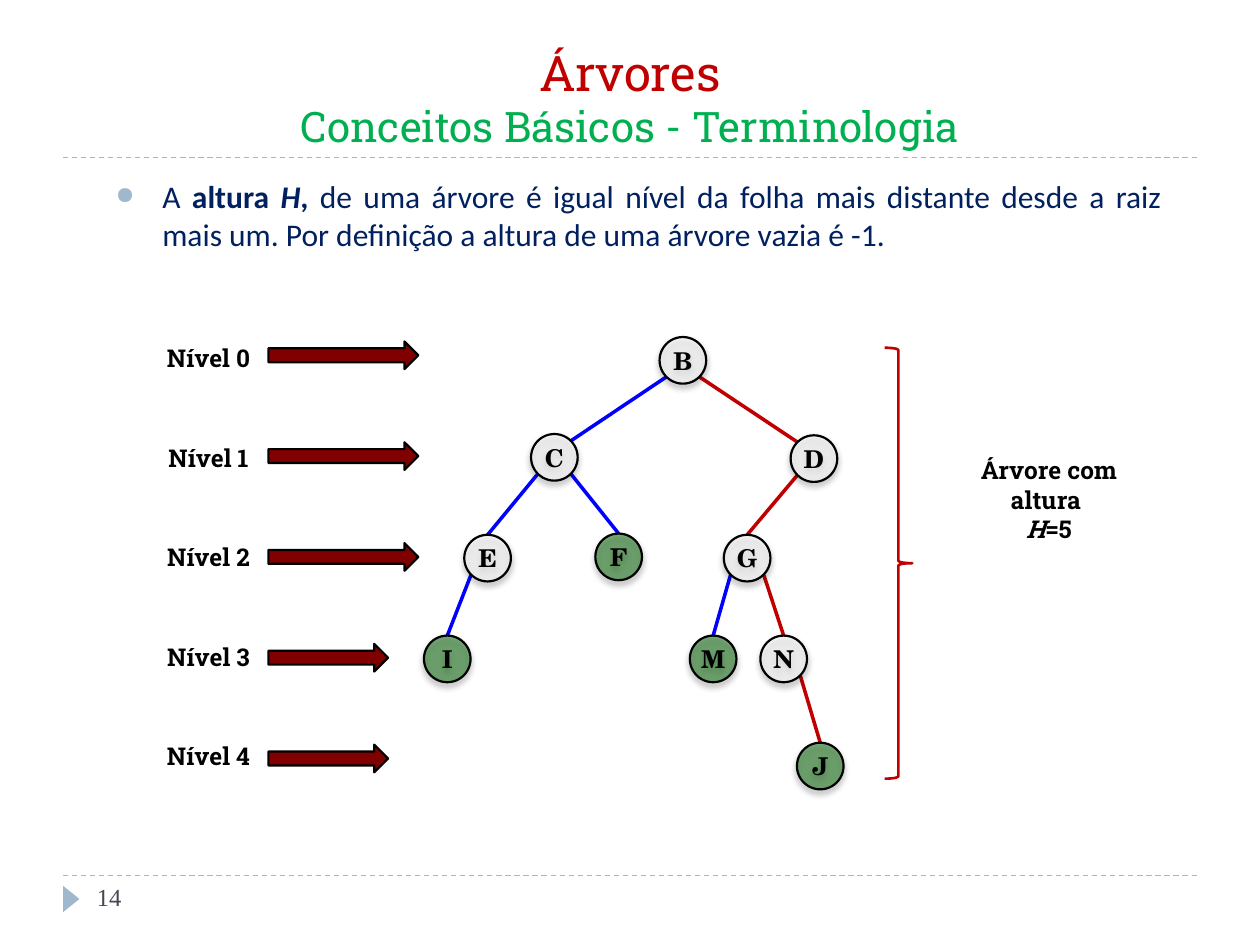
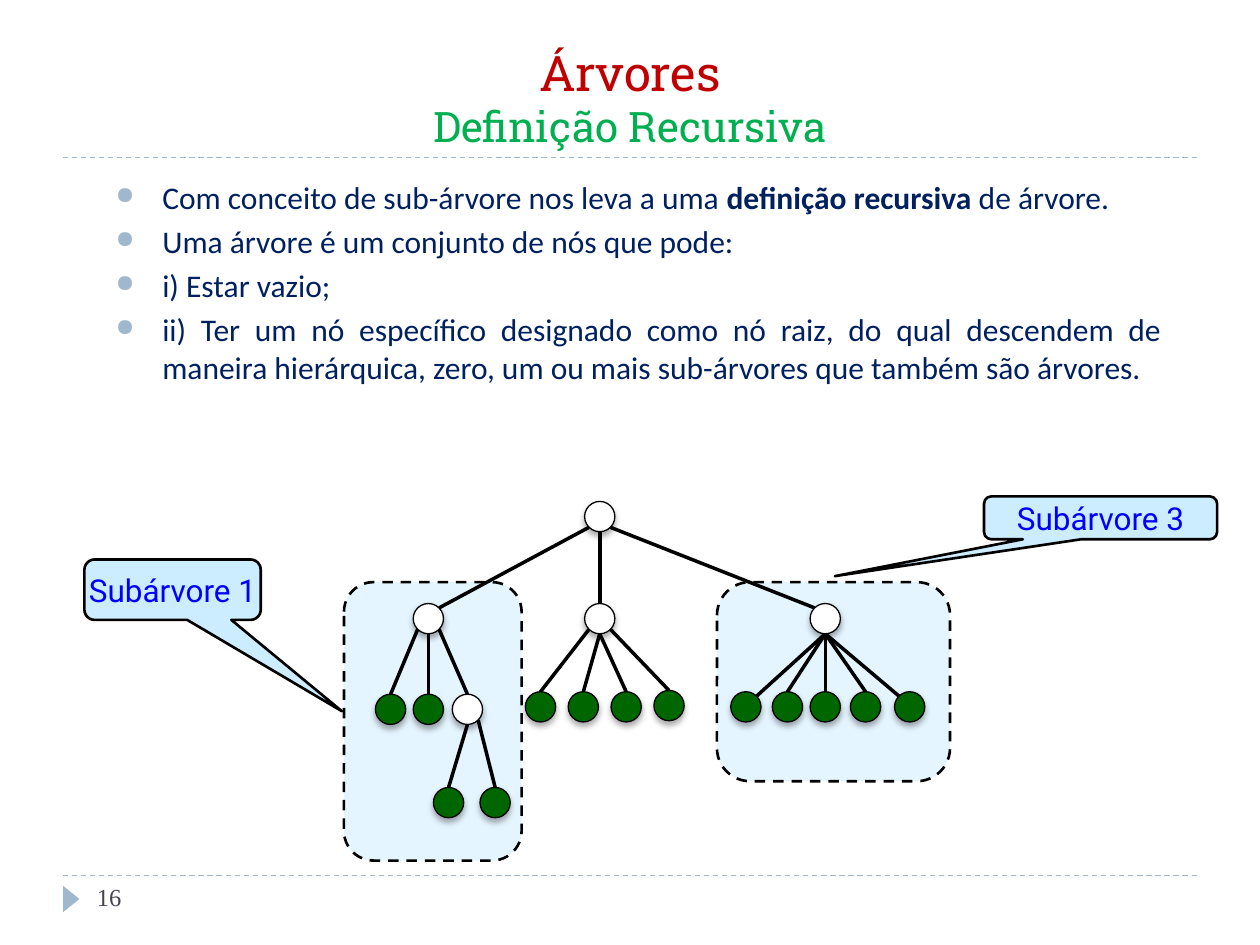
"""Builds two slides on trees: height and recursive definition."""
from dataclasses import dataclass
from typing import NamedTuple, Optional

from pptx import Presentation
from pptx.dml.color import RGBColor
from pptx.enum import dml, shapes, text
from pptx.oxml.xmlchemy import OxmlElement
from pptx.util import Inches, Pt

KIND = shapes.MSO_SHAPE
ALIGN = text.PP_ALIGN
ANCHOR = text.MSO_ANCHOR


@dataclass(frozen=True)
class Theme:
    red: str = "C00000"
    green: str = "00B050"
    navy: str = "002060"
    steel: str = "9FB8CD"
    slate: str = "464653"
    leaf: str = "006600"
    maroon: str = "800000"
    blue: str = "0000FF"
    sky: str = "CCECFF"
    black: str = "000000"
    white: str = "FFFFFF"
    slab: str = "Roboto Slab"
    body: str = "Calibri"
    serif: str = "TeX Gyre Schola"
    page: str = "Times New Roman"
    sans: str = "Roboto"
    large: int = 28
    medium: int = 24
    normal: int = 18
    small: int = 14


T = Theme()


class Run(NamedTuple):
    text: str
    bold: Optional[bool] = None
    italic: Optional[bool] = None
    size: Optional[int] = None
    color: Optional[str] = None


class Box(NamedTuple):
    left: float
    top: float
    width: float
    height: float

    def emu(self) -> list:
        return [Inches(side) for side in self]


class Node(NamedTuple):
    key: str
    x: float
    y: float
    up: str = ""
    out: str = "b"
    into: str = "t"
    color: str = T.black


class Style(NamedTuple):
    radius: float
    line: float
    alpha: int
    named: bool


class Call(NamedTuple):
    text: str
    box: Box
    tip: tuple


SITES = {"t": (0, -1), "b": (0, 1), "tl": (-.71, -.71), "tr": (.71, -.71),
         "bl": (-.71, .71), "br": (.71, .71)}


def add_xml(parent, tag: str, **attrs):
    child = OxmlElement(tag)
    for name, value in attrs.items():
        child.set(name, str(value))
    parent.append(child)
    return child


def write(frame, lines: list, *, font: str, size: int, color: str, bold: bool = False,
          align=ALIGN.LEFT, anchor=ANCHOR.TOP, inset: tuple = (.1, .05),
          before: float = 0, bullet: bool = False) -> None:
    frame.word_wrap = True
    frame.vertical_anchor = anchor
    frame.margin_left = frame.margin_right = Inches(inset[0])
    frame.margin_top = frame.margin_bottom = Inches(inset[1])
    for row, line in enumerate(lines):
        para = frame.add_paragraph() if row else frame.paragraphs[0]
        para.alignment = align
        para.space_before = Pt(before if row else 0)
        if bullet:
            props = para._p.get_or_add_pPr()
            props.set("marL", str(Inches(.37)))
            props.set("indent", str(-Inches(.37)))
            add_xml(add_xml(props, "a:buClr"), "a:srgbClr", val=T.steel)
            add_xml(props, "a:buSzPct", val=76000)
            add_xml(props, "a:buChar", char="●")
        for part in [Run(line)] if isinstance(line, str) else line:
            run = para.add_run()
            run.text = part.text
            run.font.name = font
            run.font.size = Pt(part.size or size)
            run.font.bold = bold if part.bold is None else part.bold
            run.font.italic = part.italic
            run.font.color.rgb = RGBColor.from_string(part.color or color)


def add_text(slide, box: Box, lines: list, **style) -> None:
    write(slide.shapes.add_textbox(*box.emu()).text_frame, lines, **style)


def add_form(slide, kind, box: Box, fill: Optional[str], line: Optional[str] = None,
             width: float = 1.25, *, alpha: int = 100, dash: bool = False,
             shade: bool = False, adjust: tuple = ()):
    form = slide.shapes.add_shape(kind, *box.emu())
    for index, value in enumerate(adjust):
        form.adjustments[index] = value
    if fill:
        form.fill.solid()
        form.fill.fore_color.rgb = RGBColor.from_string(fill)
        if alpha < 100:
            tint = form._element.spPr.find(".//{*}srgbClr")
            add_xml(tint, "a:alpha", val=alpha * 1000)
    else:
        form.fill.background()
    if line:
        form.line.color.rgb = RGBColor.from_string(line)
        form.line.width = Pt(width)
        if dash:
            form.line.dash_style = dml.MSO_LINE.DASH
    else:
        form.line.fill.background()
    form.shadow.inherit = False
    if shade:
        glow = add_xml(form._element.spPr.find("{*}effectLst"), "a:outerShdw",
                       blurRad=Pt(3.5), dist=Pt(2.2), dir=5400000, rotWithShape=0)
        add_xml(add_xml(glow, "a:srgbClr", val=T.black), "a:alpha", val=32000)
    return form


def add_line(slide, start: tuple, end: tuple, color: str, width: float,
             dash: bool = False) -> None:
    ends = [Inches(side) for side in (*start, *end)]
    link = slide.shapes.add_connector(shapes.MSO_CONNECTOR.STRAIGHT, *ends)
    link.line.color.rgb = RGBColor.from_string(color)
    link.line.width = Pt(width)
    if dash:
        link.line.dash_style = dml.MSO_LINE.DASH
    add_xml(link._element.spPr, "a:effectLst")


def site(node: Node, name: str, radius: float) -> tuple:
    across, down = SITES[name]
    return node.x + across * radius, node.y + down * radius


def add_tree(slide, nodes: list, style: Style) -> None:
    index = {node.key: node for node in nodes}
    inner = {node.up for node in nodes}
    size = 2 * style.radius
    for node in nodes:
        if node.up:
            add_line(slide, site(index[node.up], node.out, style.radius),
                     site(node, node.into, style.radius), node.color, 2)
    for node in nodes:
        box = Box(node.x - style.radius, node.y - style.radius, size, size)
        fill = T.white if node.key in inner else T.leaf
        disc = add_form(slide, KIND.OVAL, box, fill, T.black, style.line,
                        alpha=style.alpha, shade=True)
        if style.named:
            write(disc.text_frame, [node.key], font=T.serif, size=T.small, color=T.black,
                  bold=True, align=ALIGN.CENTER, anchor=ANCHOR.MIDDLE, inset=(0, 0))


def add_slide(deck, topic: str, points: list, depth: float, page: str):
    slide = deck.slides.add_slide(deck.slide_layouts[6])
    for y in (6.95, 1.25):
        add_line(slide, (.5, y), (9.5, y), T.steel, .75, dash=True)
    mark = add_form(slide, KIND.ISOSCELES_TRIANGLE, Box(.46, 7.07, .21, .13), T.steel)
    mark.rotation = 90
    add_text(slide, Box(.5, .25, 9, 1),
             ["Árvores", [Run(topic, size=T.medium, color=T.green)]],
             font=T.slab, size=T.large, color=T.red, align=ALIGN.CENTER,
             anchor=ANCHOR.BOTTOM)
    add_text(slide, Box(.82, 1.36, 8.5, depth), points, font=T.body, size=T.normal,
             color=T.navy, align=ALIGN.JUSTIFY, before=3.6, bullet=True)
    add_text(slide, Box(.67, 6.95, 2.17, .4), [page], font=T.page, size=T.small,
             color=T.slate)
    return slide


def add_height(deck) -> None:
    slide = add_slide(deck, "Conceitos Básicos - Terminologia", [[
        Run("A "), Run("altura ", True), Run("H", True, True), Run(", ", True),
        Run("de uma árvore é igual nível da folha mais distante desde a raiz mais um. "
            "Por definição a altura de uma árvore vazia é -1.")]], .73, "14")
    add_tree(slide, [
        Node("B", 5.42, 2.86),
        Node("C", 4.4, 3.63, "B", "bl", "tr", T.blue),
        Node("D", 6.46, 3.64, "B", "br", "tl", T.red),
        Node("E", 3.87, 4.43, "C", "bl", color=T.blue),
        Node("F", 4.91, 4.42, "C", "br", color=T.blue),
        Node("G", 5.93, 4.43, "D", "bl", color=T.red),
        Node("I", 3.55, 5.23, "E", "bl", color=T.blue),
        Node("M", 5.66, 5.23, "G", "bl", color=T.blue),
        Node("N", 6.22, 5.23, "G", "br", color=T.red),
        Node("J", 6.51, 6.08, "N", "br", color=T.red),
    ], Style(.185, 1.25, 50, True))
    label = dict(font=T.slab, size=T.small, color=T.black, bold=True,
                 align=ALIGN.CENTER, anchor=ANCHOR.MIDDLE)
    for level, width in enumerate((1.19, 1.19, 1.19, .95, .95)):
        add_text(slide, Box(1.16, 2.67 + .79 * level, .99, .34), [f"Nível {level}"], **label)
        add_form(slide, KIND.RIGHT_ARROW, Box(2.13, 2.71 + .8 * level, width, .22),
                 T.maroon, T.black)
    add_form(slide, KIND.RIGHT_BRACE, Box(7.02, 2.76, .22, 3.42), None, T.red, 1.5,
             adjust=(.08, .5))
    add_text(slide, Box(7.39, 3.56, 1.87, .81),
             ["Árvore com", "altura ", [Run("H", italic=True), Run("=5")]], **label)


def add_nested(deck) -> None:
    slide = add_slide(deck, "Definição Recursiva", [
        [Run("Com conceito de sub-árvore nos leva a uma "),
         Run("definição recursiva", True), Run(" de árvore.")],
        "Uma árvore é um conjunto de nós que pode:",
        "i) Estar vazio;",
        "ii) Ter um nó específico designado como nó raiz, do qual descendem de maneira "
        "hierárquica, zero, um ou mais sub-árvores que também são árvores.",
    ], 1.89, "16")
    for box in (Box(5.69, 4.62, 1.85, 1.58), Box(2.73, 4.62, 1.41, 2.21)):
        add_form(slide, KIND.ROUNDED_RECTANGLE, box, T.sky, T.black, 1.5,
                 alpha=50, dash=True)
    add_tree(slide, [
        Node("R", 4.76, 4.1),
        Node("A", 3.4, 4.91, "R", "bl", "tr"),
        Node("B", 4.76, 4.91, "R"),
        Node("C", 6.55, 4.91, "R", "br", "tl"),
        Node("A1", 3.1, 5.63, "A", "bl"),
        Node("A2", 3.4, 5.63, "A"),
        Node("A3", 3.71, 5.63, "A", "br"),
        Node("A4", 3.56, 6.37, "A3"),
        Node("A5", 3.93, 6.37, "A3", "br"),
        Node("B1", 4.29, 5.61, "B", "bl"),
        Node("B2", 4.63, 5.61, "B"),
        Node("B3", 4.97, 5.61, "B"),
        Node("B4", 5.31, 5.6, "B", "br"),
        Node("C1", 5.92, 5.61, "C", into="tr"),
        Node("C2", 6.25, 5.61, "C"),
        Node("C3", 6.55, 5.61, "C"),
        Node("C4", 6.87, 5.61, "C"),
        Node("C5", 7.22, 5.61, "C", into="tl"),
    ], Style(.12, .75, 100, False))
    for call in (Call("Subárvore 1", Box(.67, 4.44, 1.4, .48), (.96, 2.01)),
                 Call("Subárvore 3", Box(7.81, 3.94, 1.85, .34), (-1.14, 1.36))):
        form = add_form(slide, KIND.ROUNDED_RECTANGULAR_CALLOUT, call.box, T.sky, T.black,
                        1.5, adjust=(*call.tip, .17))
        write(form.text_frame, [call.text], font=T.sans, size=T.normal, color=T.blue,
              align=ALIGN.CENTER, anchor=ANCHOR.MIDDLE, inset=(0, 0))


def main() -> None:
    deck = Presentation()
    deck.slide_width, deck.slide_height = Inches(10), Inches(7.5)
    add_height(deck)
    add_nested(deck)
    deck.save("out.pptx")


if __name__ == "__main__":
    main()
